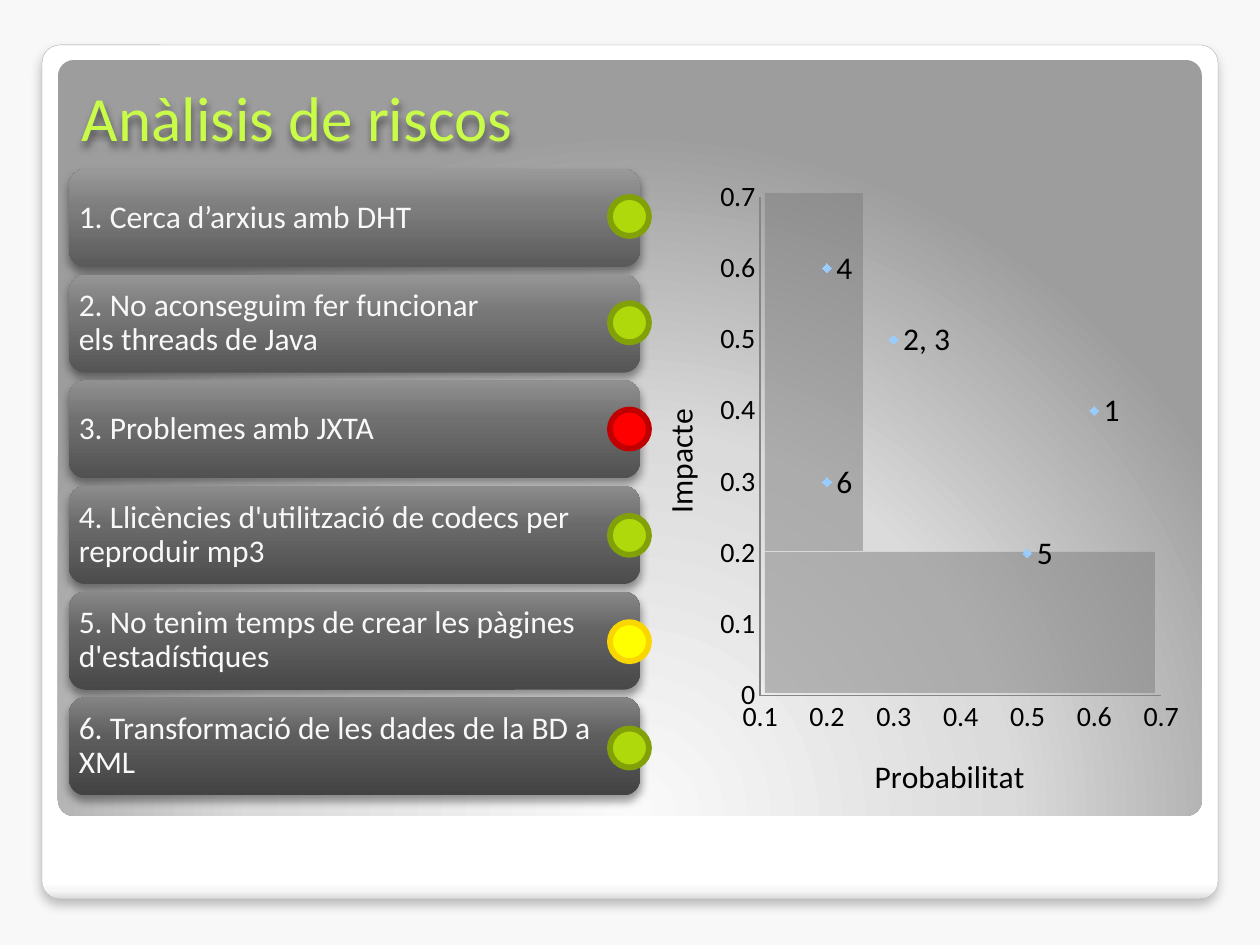
"""Build the risk analysis slide: a risk list beside an impact chart."""
from pptx import Presentation
from pptx import util as u
from pptx.chart.data import XyChartData
from pptx.dml.color import RGBColor
from pptx.enum import chart as ch, shapes, text
from pptx.oxml import parse_xml
from pptx.oxml.ns import nsdecls

PX = 914400 / 126
HARD = chr(160)
THEME = dict(font="Calibri", back="F8F8F8", ink="000000", title="C9FC48", row="F8F8F8",
             zone="7C7C7C", mark="99CCFF", axis="868686", edge="A4A4A4",
             head_size=36, text_size=18, tick_size=16)
LIGHTS = dict(low=("B0D90C", "82A109"), mid=("FFFF00", "FAD600"), high=("FF0000", "C00000"))
TITLE = "Anàlisis de riscos"
RISKS = [
    ("1. Cerca d’arxius amb DHT", "low"),
    (f"2. No aconseguim fer funcionar els{HARD}threads{HARD}de Java", "low"),
    ("3. Problemes amb JXTA", "high"),
    ("4. Llicències d'utilització de codecs per reproduir mp3", "low"),
    ("5. No tenim temps de crear les pàgines d'estadístiques", "mid"),
    ("6. Transformació de les dades de la BD a XML", "low"),
]
POINTS = [(0.6, 0.4, "1"), (0.3, 0.5, "2, 3"), (0.3, 0.5, ""),
          (0.2, 0.6, "4"), (0.5, 0.2, "5"), (0.2, 0.3, "6")]
PANELS = [
    ((42, 45, 1176, 854), [(0, "FFFFFF"), (98, "FFFFFF"), (99, "F7F7F7"), (100, "DADADA")],
     '<a:lin ang="5400000" scaled="0"/>'),
    ((58, 60, 1144, 756), [(0, "FAFAFA"), (55, "DBDBDB"), (100, "9D9D9D")],
     '<a:path path="circle"><a:fillToRect l="50000" t="175000" r="50000" b="-75000"/></a:path>'),
]
ZONES = [(765, 552, 390, 141), (765, 193, 98, 358)]
CHART = (630, 168, 561, 659)
PLOT = (760, 197, 401, 499)
RAMP = [(0, 0x5A, 0x43), (60, 0x7D, 0x5D), (100, 0x99, 0x84)]


def rgb(hue):
    return RGBColor.from_string(hue)


def box(area):
    return [u.Emu(round(n * PX)) for n in area]


def put(thing, vals):
    for name, val in vals.items():
        setattr(thing, name, val)


def style(font, size, hue):
    put(font, dict(name=THEME["font"], size=u.Pt(size), bold=False))
    font.color.rgb = rgb(hue)


def node(tag, body):
    return parse_xml(f"<a:{tag} {nsdecls('a')}>{body}</a:{tag}>")


def add(slide, kind, area, hue=None, edge=None, width=1):
    shape = slide.shapes.add_shape(kind, *box(area))
    shape.shadow.inherit = False
    if hue:
        shape.fill.solid()
        shape.fill.fore_color.rgb = rgb(hue)
    else:
        shape.fill.background()
    if edge:
        shape.line.color.rgb = rgb(edge)
        shape.line.width = u.Pt(width)
    else:
        shape.line.fill.background()
    return shape


def blend(shape, stops, way):
    marks = "".join(f'<a:gs pos="{at * 1000}"><a:srgbClr val="{hue}"/></a:gs>' for at, hue in stops)
    props = shape.element.spPr
    old = props.find("{*}noFill")
    props.replace(old, node("gradFill", f"<a:gsLst>{marks}</a:gsLst>{way}"))


def drop(shape, alpha, blur, dist):
    shape.shadow.inherit = False
    props = shape.element.spPr
    cast = node("effectLst", f'<a:outerShdw blurRad="{u.Pt(blur)}" dist="{u.Pt(dist)}" dir="5400000" '
                f'rotWithShape="0"><a:srgbClr val="000000"><a:alpha val="{alpha * 1000}"/>'
                '</a:srgbClr></a:outerShdw>')
    props.replace(props.find("{*}effectLst"), cast)


def write(shape, words, size, hue, left, right, anchor):
    frame = shape.text_frame
    put(frame, dict(word_wrap=True, vertical_anchor=anchor, margin_left=left, margin_right=right))
    para = frame.paragraphs[0]
    para.alignment = text.PP_ALIGN.LEFT
    run = para.add_run()
    run.text = words
    style(run.font, size, hue)


def place(host, area, inner=False):
    left, top, wide, high = CHART
    vals = dict(x=(area[0] - left) / wide, y=(area[1] - top) / high)
    if inner:
        vals.update(w=area[2] / wide, h=area[3] / high)
    modes = "".join(f'<c:{n}Mode val="edge"/>' for n in "xy")
    spots = "".join(f'<c:{n} val="{v:.3f}"/>' for n, v in vals.items())
    goal = '<c:layoutTarget val="inner"/>' if inner else ""
    new = parse_xml(f"<c:layout {nsdecls('c')}><c:manualLayout>{goal}{modes}{spots}"
                    "</c:manualLayout></c:layout>")
    old = host.find("{*}layout")
    if old is not None:
        host.replace(old, new)
    elif inner:
        host.insert(0, new)
    else:
        host.find("{*}tx").addnext(new)


def graph(slide):
    data = XyChartData()
    line = data.add_series("Series 1")
    for x, y, _ in POINTS:
        line.add_data_point(x, y)
    chart = slide.shapes.add_chart(ch.XL_CHART_TYPE.XY_SCATTER, *box(CHART), data).chart
    put(chart, dict(has_legend=False, has_title=False))
    style(chart.font, 10, THEME["ink"])
    axes = [(chart.category_axis, "Probabilitat", 0.1, (869, 749)),
            (chart.value_axis, "Impacte", 0, (653, 403))]
    for axis, name, low, spot in axes:
        put(axis, dict(minimum_scale=low, maximum_scale=0.7, major_unit=0.1,
                       has_major_gridlines=False, major_tick_mark=ch.XL_TICK_MARK.NONE,
                       minor_tick_mark=ch.XL_TICK_MARK.NONE))
        put(axis.tick_labels, dict(number_format="General", number_format_is_linked=False))
        style(axis.tick_labels.font, THEME["tick_size"], THEME["ink"])
        axis.format.line.color.rgb = rgb(THEME["axis"])
        run = axis.axis_title.text_frame.paragraphs[0].add_run()
        run.text = name
        style(run.font, THEME["text_size"], THEME["ink"])
        place(axis.axis_title._element, spot)
    plot = chart.plots[0]
    plot.vary_by_categories = False
    row = plot.series[0]
    row.format.line.fill.background()
    put(row.marker, dict(style=ch.XL_MARKER_STYLE.DIAMOND, size=5))
    row.marker.format.fill.solid()
    row.marker.format.fill.fore_color.rgb = rgb(THEME["mark"])
    row.marker.format.line.fill.background()
    for i, (_, _, name) in enumerate(POINTS):
        if name:
            label = row.points[i].data_label
            run = label.text_frame.paragraphs[0].add_run()
            run.text = name
            style(run.font, THEME["text_size"], THEME["ink"])
            label.position = ch.XL_LABEL_POSITION.RIGHT
    place(chart._chartSpace.chart.plotArea, PLOT, True)


def main():
    deck = Presentation()
    put(deck, dict(slide_width=u.Inches(10), slide_height=u.Inches(7.5)))
    slide = deck.slides.add_slide(deck.slide_layouts[6])
    slide.background.fill.solid()
    slide.background.fill.fore_color.rgb = rgb(THEME["back"])
    kinds = shapes.MSO_SHAPE
    for i, (area, stops, way) in enumerate(PANELS):
        panel = add(slide, kinds.ROUNDED_RECTANGLE, area, None, None if i else THEME["edge"], 0.16)
        panel.adjustments[0] = 0.021
        blend(panel, stops, way)
        if i == 0:
            drop(panel, 25, 6, 4)
    for area in ZONES:
        zone = add(slide, kinds.RECTANGLE, area, THEME["zone"])
        tint = zone.element.spPr.find("{*}solidFill/{*}srgbClr")
        tint.append(parse_xml(f'<a:alpha {nsdecls("a")} val="49000"/>'))
    head = slide.shapes.add_textbox(*box((69, 72, 1128, 145)))
    write(head, TITLE, THEME["head_size"], THEME["title"], *box((13, 13)), text.MSO_ANCHOR.TOP)
    drop(head, 50, 4, 3)
    for i, (words, _) in enumerate(RISKS):
        card = add(slide, kinds.ROUNDED_RECTANGLE, (69, 169 + 105.7 * i, 571, 98))
        tones = [(at, f"{round(a + (b - a) * i / 5):02X}" * 3) for at, a, b in RAMP]
        blend(card, tones, '<a:lin ang="16200000" scaled="0"/>')
        drop(card, 40, 5.2, 3)
        write(card, words, THEME["text_size"], THEME["row"], *box((5, 30)), text.MSO_ANCHOR.MIDDLE)
        card.text_frame.paragraphs[0].line_spacing = 0.9
    graph(slide)
    for i, (_, level) in enumerate(RISKS):
        add(slide, kinds.OVAL, (610, 197 + 106.3 * i, 39, 39), *LIGHTS[level], 3.35)
    deck.save("out.pptx")


if __name__ == "__main__":
    main()
